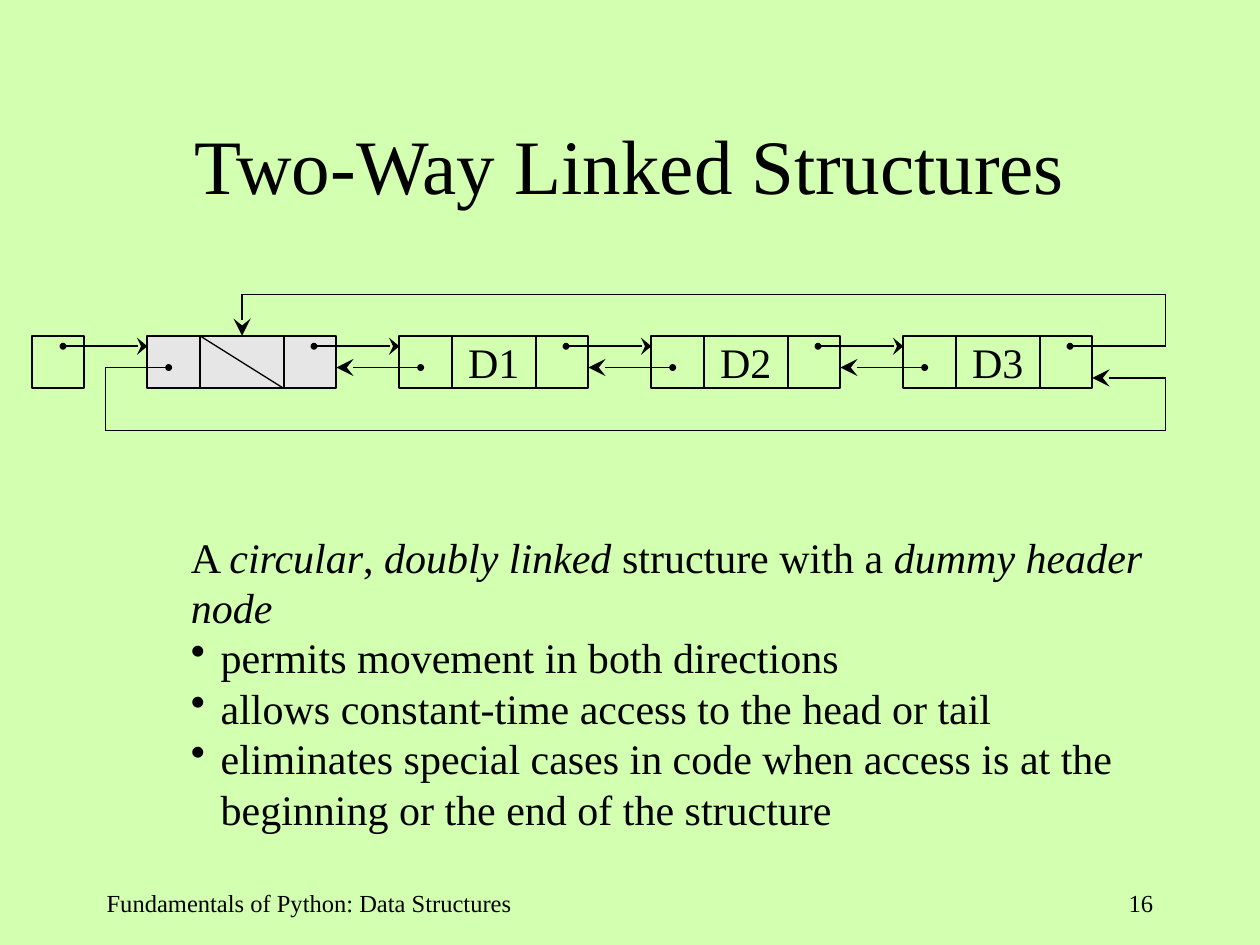
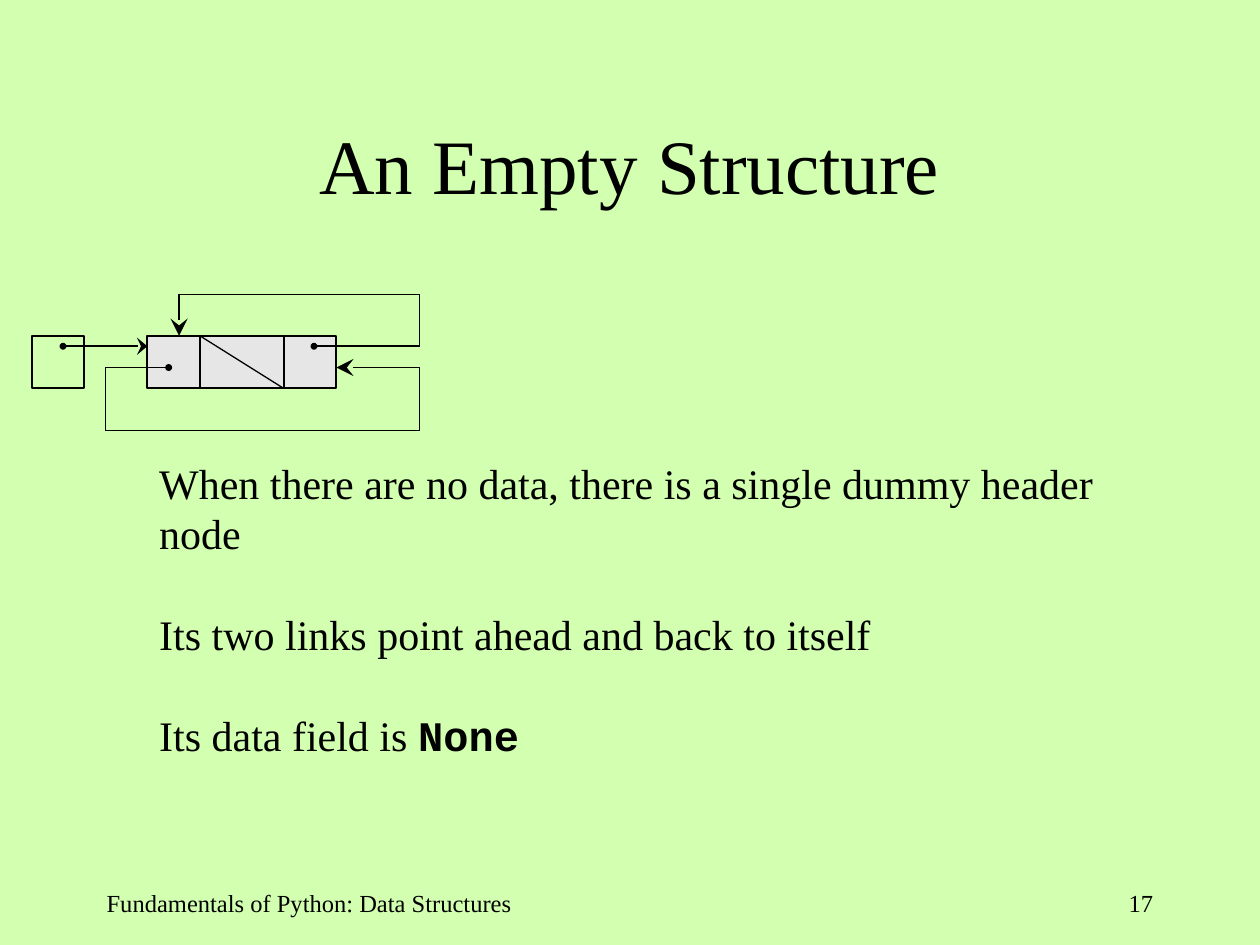
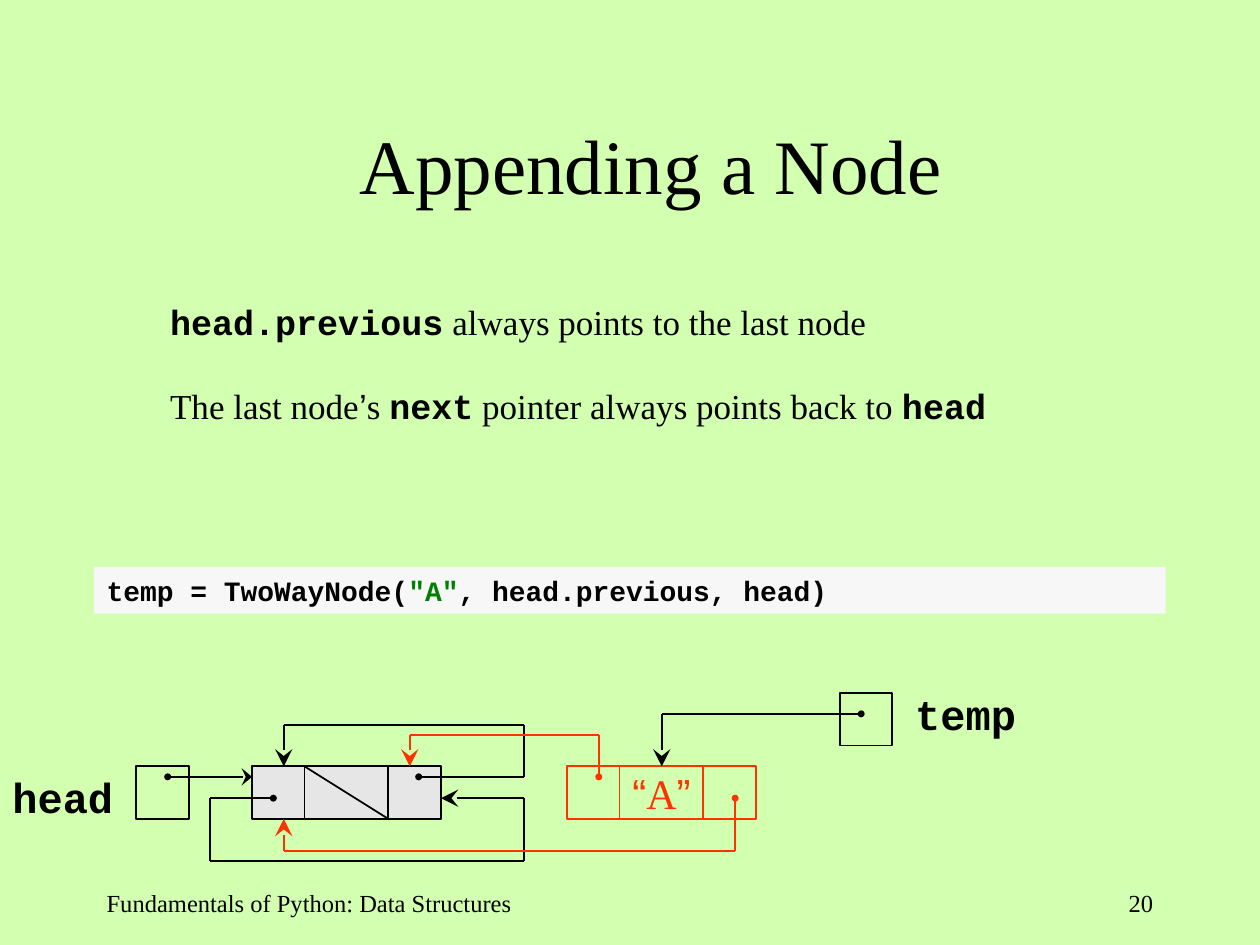
from pptx import Presentation, util as u
from pptx.dml.color import RGBColor
from pptx.enum import shapes, text
from pptx.oxml.ns import qn
from lxml import etree

BLACK, RED, GREEN = "000000", "FF3300", "008000"
MEADOW, GREY, PALE = "D2FFB0", "E6E6E6", "F7F7F7"
SERIF = {"name": "Times New Roman"}
ITALIC = {"italic": True}
CODE = {"name": "Courier New", "bold": True}
ARIAL = {"name": "Arial"}
LINK_W, DATA_W, NODE_W, NODE_H, PITCH = 1.06, 1.69, 3.81, 1.06, 5.08
NEXT_X, NEXT_Y, PREV_X, PREV_Y = 3.36, 0.21, 0.43, 0.64
FOOTER = "Fundamentals of Python: Data Structures"


def write(frame, paragraphs, size, color=BLACK, align=text.PP_ALIGN.LEFT,
          anchor=text.MSO_ANCHOR.TOP, wrap=True, gap=0):
    settings = {"word_wrap": wrap, "vertical_anchor": anchor, "auto_size": text.MSO_AUTO_SIZE.NONE}
    for key, value in settings.items():
        setattr(frame, key, value)
    for index, runs in enumerate(paragraphs):
        line = frame.add_paragraph() if index else frame.paragraphs[0]
        line.alignment = align
        line.space_before = u.Pt(gap if index else 0)
        for words, style in runs:
            run = line.add_run()
            run.text = words
            run.font.color.rgb = RGBColor.from_string(style.get("color", color))
            for key, value in {**SERIF, "size": u.Pt(size), **style}.items():
                if key != "color":
                    setattr(run.font, key, value)


def link(slide, points, color=BLACK, weight=1, length="lg"):
    last = len(points) - 2
    for index, (start, end) in enumerate(zip(points, points[1:])):
        leg = slide.shapes.add_connector(
            shapes.MSO_CONNECTOR.STRAIGHT, *[u.Cm(value) for value in (*start, *end)])
        leg.line.color.rgb = RGBColor.from_string(color)
        leg.line.width = u.Pt(weight if index else 1)
        outline = leg.line._get_or_add_ln()
        if index == 0:
            etree.SubElement(outline, qn("a:headEnd"), type="oval", w="sm", len="sm")
        if index == last and length:
            etree.SubElement(outline, qn("a:tailEnd"), type="stealth", w="lg", len=length)
        etree.SubElement(leg._element.spPr, qn("a:effectLst"))


pages = [
    dict(title="Two-Way Linked Structures", title_w=21.59, number="16",
         left=2.97, top=6.77, data=["D1", "D2", "D3"], far=23.5, entry=1.91, back=0.85,
         weight=0.75, body=(3.6, 10.58, 19.9, 6.35), size=24, gap=0, bullets=True,
         lines=[[("A ", {}), ("circular", ITALIC), (", ", {}), ("doubly linked", ITALIC),
                 (" structure with a ", {}), ("dummy header node", ITALIC)],
                [("permits movement in both directions", {})],
                [("allows constant-time access to the head or tail", {})],
                [("eliminates special cases in code when access is at the "
                  "beginning or the end of the structure", {})]]),
    dict(title="An Empty Structure", title_w=21.59, number="17",
         left=2.97, top=6.77, data=[], far=8.46, entry=0.64, back=PREV_Y,
         weight=0.75, body=(2.96, 9.1, 21.17, 6.35), size=24, gap=28.8, bullets=False,
         lines=[[("When there are no data, there is a single dummy header node", {})],
                [("Its two links point ahead and back to itself", {})],
                [("Its data field is ", {}), ("None", CODE)]]),
    dict(title="Appending a Node", title_w=22.44, number="20",
         left=5.08, top=15.45, data=[], far=10.57, entry=0.64, back=PREV_Y,
         weight=1, body=(3.18, 5.93, 22.22, 2.79), size=20, gap=24, bullets=False,
         lines=[[("head.previous", CODE), (" always points to the last node", {})],
                [("The last node", {}), ("’", ARIAL), ("s ", {}), ("next", CODE),
                 (" pointer always points back to ", {}), ("head", CODE)]]),
]

prs = Presentation()
prs.slide_width, prs.slide_height = u.Cm(25.4), u.Cm(19.05)
backdrop = prs.slide_master.background.fill
backdrop.solid()
backdrop.fore_color.rgb = RGBColor.from_string(MEADOW)

for page in pages:
    slide = prs.slides.add_slide(prs.slide_layouts[5])
    left, top, far = page["left"], page["top"], page["far"]
    appending = page is pages[-1]

    title = slide.shapes.title
    title.left, title.top, title.width, title.height = [
        u.Cm(value) for value in (1.9, 1.7, page["title_w"], 3.18)]
    write(title.text_frame, [[(page["title"], {})]], 44,
          align=text.PP_ALIGN.CENTER, anchor=text.MSO_ANCHOR.MIDDLE)

    captions = [
        (page["body"], page["lines"], page["size"], text.PP_ALIGN.LEFT, page["gap"]),
        ((1.9, 17.78, 10.36, 1.27), [[(FOOTER, {})]], 14, text.PP_ALIGN.LEFT, 0),
        ((18.2, 17.78, 5.3, 1.27), [[(page["number"], {})]], 14, text.PP_ALIGN.RIGHT, 0),
    ]
    if appending:
        captions += [((0, 15.42, 2.54, 1.27), [[("head", CODE)]], 24, text.PP_ALIGN.LEFT, 0),
                     ((18.2, 13.76, 2.54, 1.27), [[("temp", CODE)]], 24, text.PP_ALIGN.LEFT, 0)]
    for place, lines, size, align, gap in captions:
        caption = slide.shapes.add_textbox(*[u.Cm(value) for value in place])
        write(caption.text_frame, lines, size, align=align, gap=gap)
        if lines is page["lines"] and page["bullets"]:
            for item in caption.text_frame.paragraphs[1:]:
                props = item._p.get_or_add_pPr()
                props.set("marL", str(u.Cm(0.6)))
                props.set("indent", str(u.Cm(-0.6)))
                etree.SubElement(props, qn("a:buChar"), char="•")

    nodes = [(left, [], GREY, BLACK)]
    nodes += [(left + PITCH * place, [(label, {})], None, BLACK)
              for place, label in enumerate(page["data"], 1)]
    chain = [node[0] for node in nodes]
    boxes = [(left - 2.33, top, LINK_W, NODE_H, [], None, BLACK)]
    if appending:
        nodes.append((11.43, [("“", ARIAL), ("A", {}), ("”", ARIAL)], None, RED))
        boxes += [(16.93, 13.97, LINK_W, NODE_H, [], None, BLACK),
                  (1.9, 11.43, 21.6, 0.94,
                   [("temp = TwoWayNode(", CODE), ('"A"', {**CODE, "color": GREEN}),
                    (", head.previous, head)", CODE)], PALE, None)]
    for x, label, fill, ink in nodes:
        boxes += [(x, top, LINK_W, NODE_H, [], fill, ink),
                  (x + LINK_W, top, DATA_W, NODE_H, label, fill, ink),
                  (x + LINK_W + DATA_W, top, LINK_W, NODE_H, [], fill, ink)]

    for *place, label, fill, ink in boxes:
        box = slide.shapes.add_shape(
            shapes.MSO_SHAPE.RECTANGLE, *[u.Cm(value) for value in place])
        box.shadow.inherit = False
        box.fill.background()
        if fill:
            box.fill.solid()
            box.fill.fore_color.rgb = RGBColor.from_string(fill)
        box.line.fill.background()
        if ink:
            box.line.color.rgb = RGBColor.from_string(ink)
            box.line.width = u.Pt(1)
        if label and ink:
            write(box.text_frame, [label], 24, ink, text.PP_ALIGN.CENTER,
                  text.MSO_ANCHOR.MIDDLE, wrap=False)
        elif label:
            write(box.text_frame, [label], 16)

    slash = slide.shapes.add_connector(
        shapes.MSO_CONNECTOR.STRAIGHT, u.Cm(left + LINK_W), u.Cm(top),
        u.Cm(left + LINK_W + DATA_W), u.Cm(top + NODE_H))
    slash.line.color.rgb = RGBColor.from_string(BLACK)
    slash.line.width = u.Pt(page["weight"])
    etree.SubElement(slash._element.spPr, qn("a:effectLst"))

    ahead, behind = top + NEXT_Y, top + PREV_Y
    link(slide, [(left - 1.7, ahead), (left, ahead)], length="med")
    for here, there in zip(chain, chain[1:]):
        link(slide, [(here + NEXT_X, ahead), (there, ahead)], length="med")
        link(slide, [(there + PREV_X, behind), (here + NODE_W, behind)])

    tail = chain[-1]
    over, under, inlet = top - 0.84, top + 1.91, top + page["back"]
    link(slide, [(tail + NEXT_X, ahead), (far, ahead), (far, over),
                 (left + page["entry"], over), (left + page["entry"], top)],
         weight=page["weight"])
    link(slide, [(left + PREV_X, behind), (left - 0.85, behind), (left - 0.85, under),
                 (far, under), (far, inlet), (tail + NODE_W, inlet)],
         weight=page["weight"])

    if appending:
        link(slide, [(12.07, ahead), (12.07, 14.82), (8.26, 14.82), (8.26, top)], RED)
        link(slide, [(14.82, behind), (14.82, 17.15), (5.72, 17.15), (5.72, top + NODE_H)], RED)
        link(slide, [(17.36, 14.39), (13.34, 14.39), (13.34, top)])

prs.save("out.pptx")
